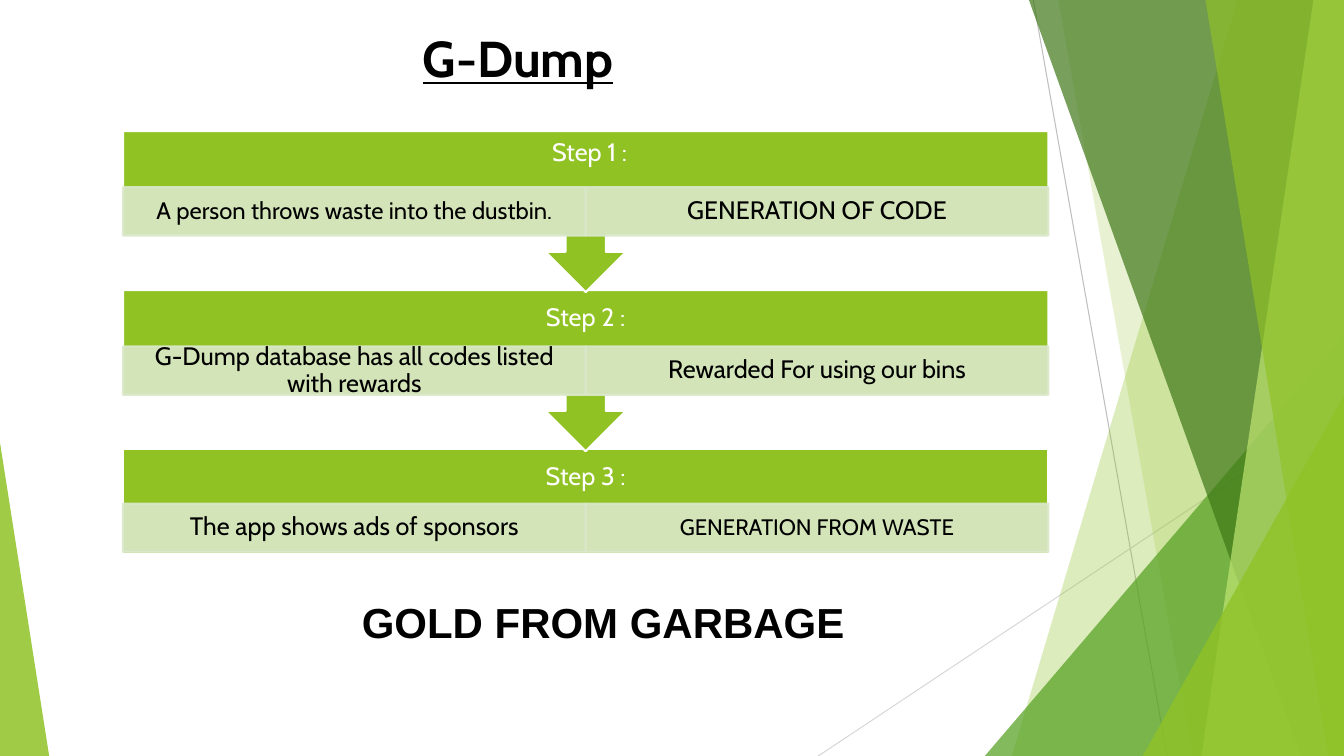
import pptx
import pptx.dml.color
import pptx.enum.shapes
import pptx.enum.text
import pptx.oxml
import pptx.oxml.ns
import pptx.util
from pptx.util import Cm

SHAPES = pptx.enum.shapes.MSO_SHAPE
ANCHOR = pptx.enum.text.MSO_ANCHOR
ALIGN = pptx.enum.text.PP_ALIGN
SLIDE_WIDTH, SLIDE_HEIGHT = 33.87, 19.05
LIME, STEP_GREEN, PALE_GREEN = "90C226", "90C223", "DBE8CA"
STEP_LEFT, STEP_TOP, STEP_WIDTH, STEP_PITCH = 3.1, 3.3, 23.32, 4.01
HEADER_HEIGHT, DETAIL_HEIGHT = 1.42, 1.22


def set_color(color_format, value, opacity=100):
    color_format.rgb = pptx.dml.color.RGBColor.from_string(value)
    if opacity < 100:
        color = color_format._xFill.find(".//" + pptx.oxml.ns.qn("a:srgbClr"))
        alpha = pptx.oxml.parse_xml(f'<a:alpha {pptx.oxml.ns.nsdecls("a")} val="{opacity * 1000}"/>')
        color.append(alpha)


def paint(shape, fill, opacity=100, line=None):
    shape.shadow.inherit = False
    shape.fill.solid()
    set_color(shape.fill.fore_color, fill, opacity)
    if line is None:
        shape.line.fill.background()
    else:
        shape.line.fill.solid()
        set_color(shape.line.fill.fore_color, line, opacity)
        shape.line.width = pptx.util.Pt(1.5)


def add_preset(slide, kind, left, top, width, height, adjustments=()):
    shape = slide.shapes.add_shape(kind, Cm(left), Cm(top), Cm(width), Cm(height))
    for index, value in enumerate(adjustments):
        shape.adjustments[index] = value
    return shape


def add_line(slide, start, end, color):
    connector = slide.shapes.add_connector(
        pptx.enum.shapes.MSO_CONNECTOR.STRAIGHT, *map(Cm, start + end))
    set_color(connector.line.color, color)
    connector.line.width = pptx.util.Pt(0.75)
    connector._element.spPr.append(
        pptx.oxml.parse_xml(f'<a:effectLst {pptx.oxml.ns.nsdecls("a")}/>'))


def add_band(slide, top_x, bottom_x, color, opacity):
    builder = slide.shapes.build_freeform(Cm(top_x), 0)
    corners = [(SLIDE_WIDTH, 0), (SLIDE_WIDTH, SLIDE_HEIGHT), (bottom_x, SLIDE_HEIGHT)]
    builder.add_line_segments([(Cm(x), Cm(y)) for x, y in corners])
    paint(builder.convert_to_shape(), color, opacity)


def add_corner(slide, left, top, width, tip, color, opacity):
    triangle = add_preset(slide, SHAPES.ISOSCELES_TRIANGLE, left, top, width,
                          SLIDE_HEIGHT - top, [tip])
    paint(triangle, color, opacity)


def write(shape, text, size, color="000000", font="Cabin", bold=False, underline=False,
          align=ALIGN.LEFT, anchor=ANCHOR.TOP, spacing=1.0, margins=(0.25, 0.13)):
    frame = shape.text_frame
    frame.text = text
    frame.word_wrap = True
    frame.auto_size = pptx.enum.text.MSO_AUTO_SIZE.NONE
    frame.vertical_anchor = anchor
    frame.margin_left = frame.margin_right = Cm(margins[0])
    frame.margin_top = frame.margin_bottom = Cm(margins[1])
    paragraph = frame.paragraphs[0]
    paragraph.alignment = align
    paragraph.line_spacing = spacing
    run_font = paragraph.runs[0].font
    run_font.name = font
    run_font.size = pptx.util.Pt(size)
    run_font.bold = bold
    run_font.underline = underline
    set_color(run_font.color, color)


def write_centered(shape, text, size, color, margins):
    write(shape, text, size, color, align=ALIGN.CENTER, anchor=ANCHOR.MIDDLE,
          spacing=0.9, margins=margins)


def add_text(slide, left, top, width, height):
    return slide.shapes.add_textbox(Cm(left), Cm(top), Cm(width), Cm(height))


def add_step(slide, index, details, header_shift, is_last):
    top = STEP_TOP + index * STEP_PITCH
    if is_last:
        block = add_preset(slide, SHAPES.RECTANGLE, STEP_LEFT, top, STEP_WIDTH, 2.64)
    else:
        block = add_preset(slide, SHAPES.UP_ARROW_CALLOUT, STEP_LEFT, top, STEP_WIDTH, 4.06,
                           [0.25, 0.25, 0.25, 0.65])
        block.rotation = 180
    paint(block, STEP_GREEN, line="FFFFFF")
    shift_x, shift_y = header_shift
    header = add_text(slide, STEP_LEFT + shift_x, top + shift_y, STEP_WIDTH, HEADER_HEIGHT)
    write_centered(header, f"Step {index + 1} :", 18, "FFFFFF", (0.36, 0.36))
    detail_top = top + (1.37 if is_last else HEADER_HEIGHT)
    detail_width = STEP_WIDTH / 2
    for column, (text, size) in enumerate(details):
        cell = add_preset(slide, SHAPES.RECTANGLE, STEP_LEFT + column * detail_width,
                          detail_top, detail_width, DETAIL_HEIGHT)
        paint(cell, PALE_GREEN, 90, PALE_GREEN)
        write_centered(cell, text, size, "000000", (0.36, 0.05))


def add_background(slide):
    add_line(slide, (26.04, 0), (29.41, SLIDE_HEIGHT), "BFBFBF")
    add_line(slide, (SLIDE_WIDTH, 10.24), (20.62, SLIDE_HEIGHT), "D8D8D8")
    add_band(slide, 31.19, 25.5, LIME, 30)
    add_band(slide, 26.67, 30.05, LIME, 20)
    add_corner(slide, 24.82, 8.46, 9.05, 1, "54A021", 72)
    add_band(slide, 25.93, 32.79, "3F7818", 70)
    add_band(slide, 33.1, 30.28, "BFE471", 70)
    add_band(slide, 30.38, 33.48, LIME, 65)
    add_corner(slide, 28.8, 9.98, 5.07, 1, LIME, 80)
    add_corner(slide, 0, 11.15, 1.24, 0, LIME, 85)


def add_title(slide, text):
    title = slide.shapes.title
    title.left, title.top, title.width, title.height = Cm(10.4), Cm(0.56), Cm(15), Cm(2.4)
    write(title, text, 36, bold=True, underline=True)


def main():
    presentation = pptx.Presentation()
    presentation.slide_width = Cm(SLIDE_WIDTH)
    presentation.slide_height = Cm(SLIDE_HEIGHT)
    slide = presentation.slides.add_slide(presentation.slide_layouts[5])
    add_background(slide)
    add_title(slide, "G-Dump")
    steps = [
        ([("A person throws waste into the dustbin.", 17), ("GENERATION OF CODE", 18)],
         (0.1, -0.15)),
        ([("G-Dump database has all codes listed with rewards", 18),
          ("Rewarded For using our bins", 18)], (0, 0)),
        ([("The app shows ads of sponsors", 18), ("GENERATION FROM WASTE", 16)], (0, 0)),
    ]
    last = len(steps) - 1
    for index in range(last, -1, -1):
        details, header_shift = steps[index]
        add_step(slide, index, details, header_shift, index == last)
    tagline = add_text(slide, 8.87, 14.91, 17.5, 2)
    write(tagline, "GOLD FROM GARBAGE", 30, font="Arial", bold=True)
    presentation.save("out.pptx")


if __name__ == "__main__":
    main()
